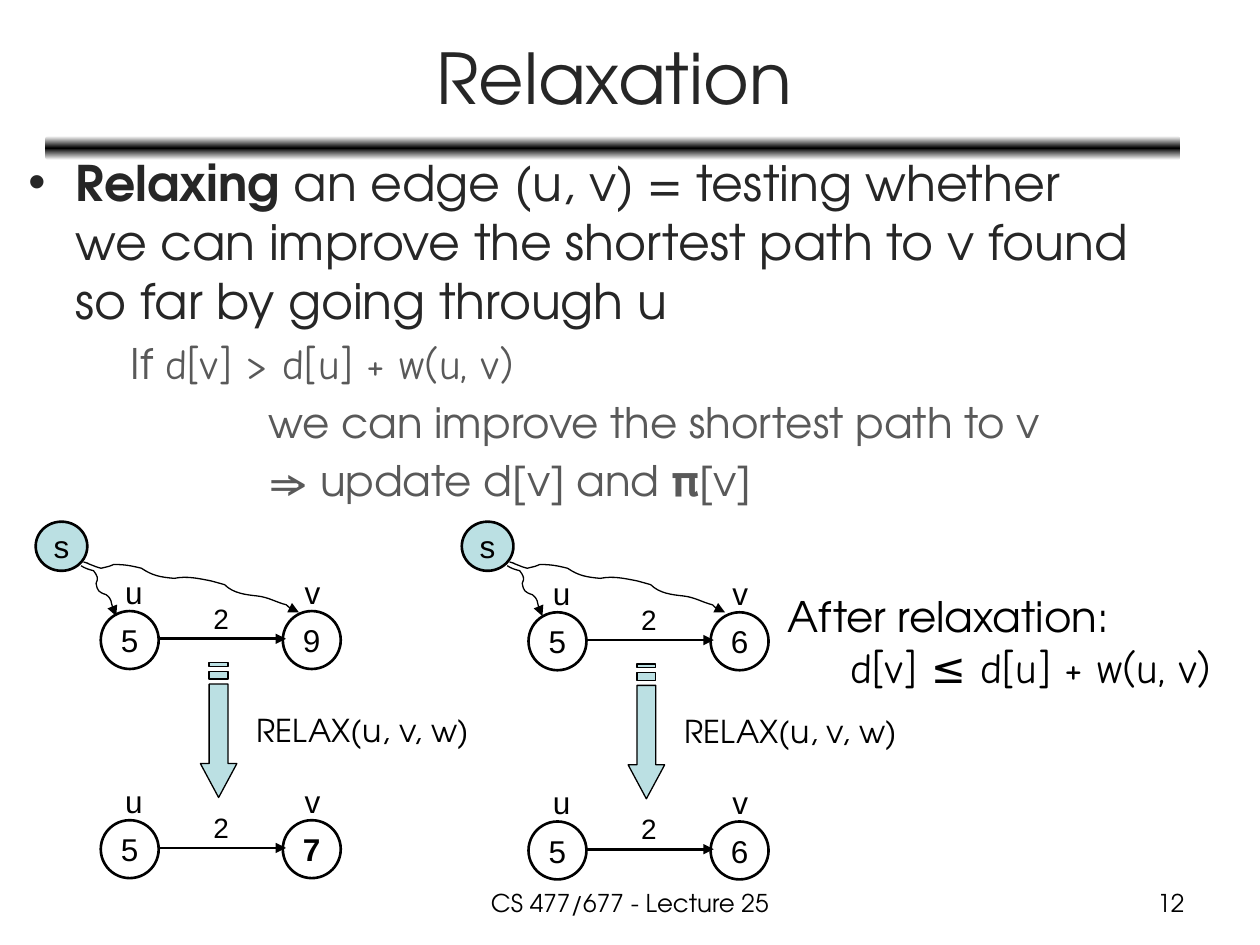
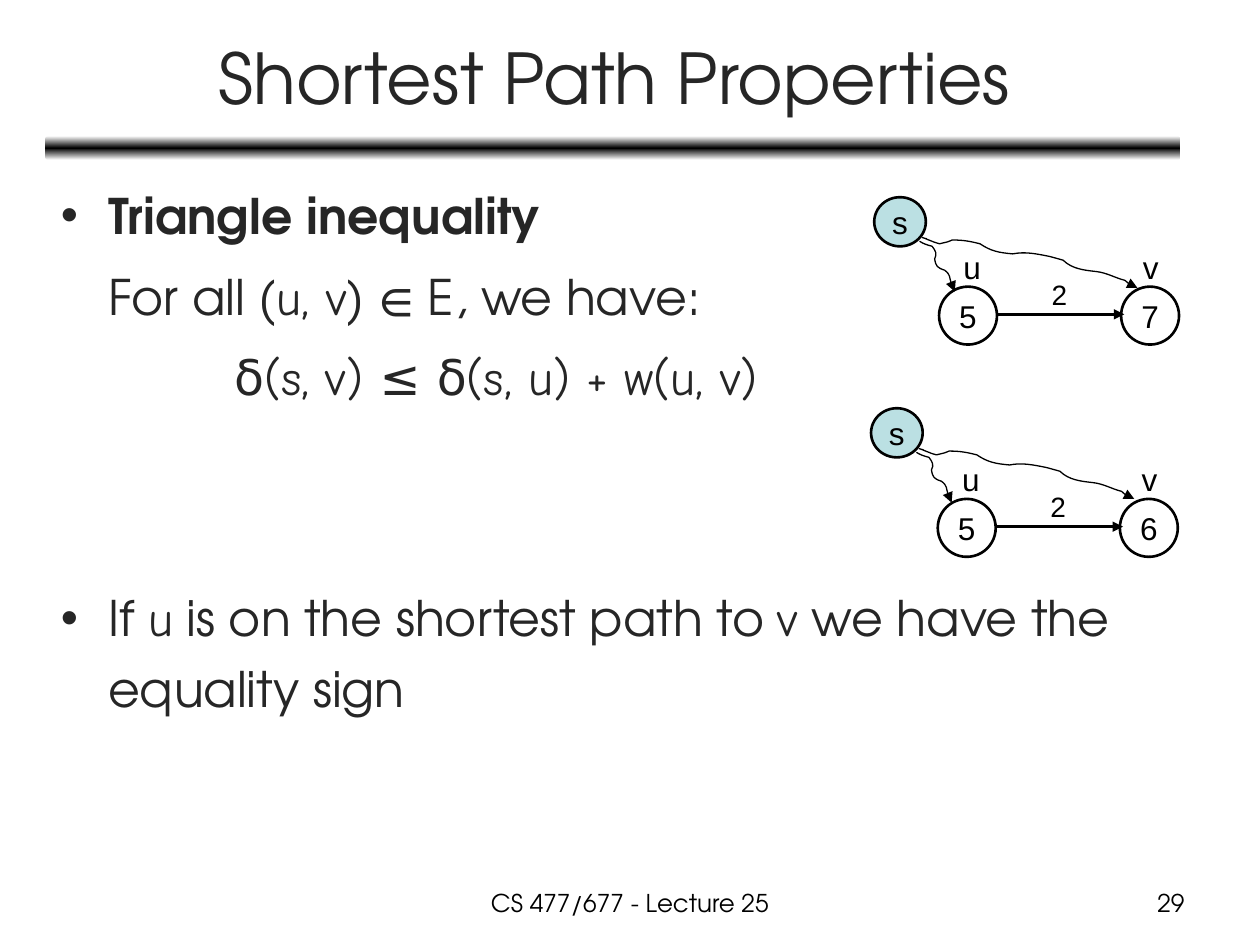
"""Build two lecture slides on edge relaxation and the triangle inequality."""
from copy import deepcopy
from dataclasses import dataclass

from lxml.etree import SubElement
from pptx import Presentation
from pptx.dml.color import RGBColor
from pptx.enum.shapes import MSO_CONNECTOR, MSO_SHAPE
from pptx.enum.text import MSO_ANCHOR, MSO_AUTO_SIZE, PP_ALIGN
from pptx.oxml.ns import qn
from pptx.util import Inches, Pt

W, H = Inches(10), Inches(7.5)
COLS, ROWS = 100, 75


@dataclass(frozen=True)
class Theme:
    """Colours, fonts and type sizes."""
    ink: str = "000000"
    paper: str = "FFFFFF"
    title_ink: str = "262626"
    soft_ink: str = "595959"
    accent: str = "BBE0E3"
    main: str = "TeX Gyre Adventor"
    math: str = "Comic Neue"
    label: str = "Arial"
    title: int = 40
    body: int = 28
    sub: int = 24
    node: int = 18
    weight: int = 16
    footer: int = 14


T = Theme()


@dataclass(frozen=True)
class Span:
    """A stretch of text in one format."""
    text: str
    font: str = T.main
    bold: bool = False


@dataclass(frozen=True)
class Para:
    """A body paragraph with its indent in columns."""
    spans: tuple[Span, ...]
    indent: float
    bullet: bool = False
    level: int = 0
    size: int = T.body
    color: str = T.title_ink
    before: float = 5.6
    spacing: float = 1.0


@dataclass(frozen=True)
class Graph:
    """An edge u to v, placed by node u, with an optional source node."""
    x: float
    y: float
    v: str
    source: tuple[float, float] | None = None
    bold: bool = False


@dataclass(frozen=True)
class Page:
    """Title, body and graphs of one slide."""
    title: str
    number: str
    body_at: tuple[float, float, float, float]
    paras: tuple[Para, ...]
    graphs: tuple[Graph, ...]


EDGE_LABELS = (("2", 7.95, -1.25, 3.2, 3.7, T.weight),
               ("u", 0.95, -3.55, 3.4, 4, T.node),
               ("v", 15.2, -3.55, 3.3, 4, T.node))
PATH_TO_U = ((3.6, 3.5), (3.9, 3.7), (4.2, 3.8), (4.6, 3.9), (4.9, 4.3), (5, 4.5), (4.8, 4.9),
             (4.9, 5.5), (5, 5.6), (5.6, 5.8), (6.1, 6.2), (5.9, 6.4), (6.2, 7),
             (6.3, 7.4), (6.3, 7.2), (6.4, 7.5))
PATH_TO_V = ((3.8, 3.2), (4.8, 3.5), (3.3, 3), (4.6, 3.5), (4.8, 3.6), (5.2, 3.7), (5.2, 3.7),
             (6, 3.5), (5.7, 3.6), (6.2, 3.4), (7.1, 3.4), (7.6, 3.5), (8.4, 3.7),
             (9.3, 4.3), (9.9, 4.4), (11, 4.5), (12, 4.3), (12.9, 4.5), (13.9, 4.7),
             (14.3, 4.8), (15, 5), (15, 5), (15.7, 5.7), (16.7, 5.8), (17.6, 5.9),
             (18.5, 6), (19.1, 6.4), (19.9, 6.6), (20.1, 6.8), (20.4, 7), (20.6, 7.1),
             (20.7, 7.1), (20.9, 7.2), (20.9, 7.2))
ARROW_PARTS = (((2.2, 8), (2.2, 1.7), (0.7, 1.7), (0.7, 8), (0, 8), (1.45, 10.7), (2.9, 8)),
               ((2.2, 0.7), (0.7, 0.7), (0.7, 1.3), (2.2, 1.3)),
               ((2.2, 0), (0.7, 0), (0.7, 0.3), (2.2, 0.3)))


def col(n: float) -> int:
    """Return the length of n grid columns."""
    return round(W * n / COLS)


def row(n: float) -> int:
    """Return the length of n grid rows."""
    return round(H * n / ROWS)


def box(x: float, y: float, w: float, h: float) -> tuple[int, int, int, int]:
    """Turn grid units into a left, top, width and height."""
    return col(x), row(y), col(w), row(h)


def write(p, text: str, *, size: int, font: str = T.main, color: str = T.ink,
          bold: bool = False) -> None:
    """Add a formatted run to a paragraph."""
    r = p.add_run()
    r.text = text
    r.font.size, r.font.name, r.font.bold = Pt(size), font, bold
    r.font.color.rgb = RGBColor.from_string(color)


def label(shapes, at: tuple[float, float, float, float], text: str, *, wrap: bool = False,
          align: PP_ALIGN = PP_ALIGN.LEFT, **fmt):
    """Add a one-paragraph text box and return its frame."""
    tf = shapes.add_textbox(*box(*at)).text_frame
    tf.word_wrap = wrap
    tf.auto_size = MSO_AUTO_SIZE.NONE if wrap else MSO_AUTO_SIZE.SHAPE_TO_FIT_TEXT
    p = tf.paragraphs[0]
    p.alignment = align
    write(p, text, **fmt)
    return tf


def outline(sp, width: float, fill: str | None = None) -> None:
    """Give a shape a black line, no shadow and an optional fill."""
    sp.shadow.inherit = False
    sp.line.color.rgb = RGBColor.from_string(T.ink)
    sp.line.width = Pt(width)
    if fill:
        sp.fill.solid()
        sp.fill.fore_color.rgb = RGBColor.from_string(fill)
    else:
        sp.fill.background()


def arrowhead(sp) -> None:
    """Put a triangle at the end of a line."""
    SubElement(sp.line._get_or_add_ln(), qn("a:tailEnd"), type="triangle")


def node(shapes, at: tuple[float, float, float, float], text: str, *, fill: str | None = None,
         bold: bool = False) -> None:
    """Draw a circle with a centred label."""
    sp = shapes.add_shape(MSO_SHAPE.OVAL, *box(*at))
    outline(sp, 1.5, fill)
    tf = sp.text_frame
    tf.word_wrap, tf.vertical_anchor = False, MSO_ANCHOR.MIDDLE
    p = tf.paragraphs[0]
    p.alignment = PP_ALIGN.CENTER
    write(p, text, size=T.node, font=T.label, bold=bold)


def freeform(shapes, x: float, y: float, parts, close: bool):
    """Draw outlines whose points are offsets from x, y."""
    moved = [[(col(x + a), row(y + b)) for a, b in part] for part in parts]
    fb = shapes.build_freeform(*moved[0][0])
    for i, part in enumerate(moved):
        if i:
            fb.move_to(*part[0])
        fb.add_line_segments(part[1:], close=close)
    return fb.convert_to_shape()


def curve(shapes, x: float, y: float, pts) -> None:
    """Draw a chain of cubic curves that ends in an arrowhead."""
    sp = freeform(shapes, x, y, [pts], False)
    lines = list(sp.element.iter(qn("a:lnTo")))
    for i in range(0, len(lines), 3):
        cubic = SubElement(lines[i].getparent(), qn("a:cubicBezTo"))
        for line in lines[i:i + 3]:
            cubic.append(line[0])
            line.getparent().remove(line)
    outline(sp, 0.75)
    arrowhead(sp)


def draw_graph(s, g: Graph) -> None:
    """Draw nodes u and v, their edge and the paths from the source."""
    shapes = s.shapes.add_group_shape().shapes
    node(shapes, (g.x, g.y, 4.6, 4.6), "5")
    node(shapes, (g.x + 14.45, g.y, 4.6, 4.6), g.v, bold=g.bold)
    edge = shapes.add_connector(MSO_CONNECTOR.STRAIGHT, col(g.x + 4.6), row(g.y + 2.2),
                                col(g.x + 14.7), row(g.y + 2.2))
    edge.line.color.rgb = RGBColor.from_string(T.ink)
    edge.line.width = Pt(1.5)
    arrowhead(edge)
    SubElement(edge.element.spPr, qn("a:effectLst"))
    for text, dx, dy, w, h, size in EDGE_LABELS:
        label(shapes, (g.x + dx, g.y + dy, w, h), text, size=size, font=T.label)
    if g.source:
        x, y = g.source
        shapes = s.shapes.add_group_shape().shapes
        node(shapes, (x, y, 4.1, 3.9), "s", fill=T.accent)
        for pts in (PATH_TO_U, PATH_TO_V):
            curve(shapes, x, y, pts)


def draw_relax_step(s, g: Graph) -> None:
    """Draw the striped arrow and call below a graph."""
    outline(freeform(s.shapes, g.x + 7.9, g.y + 4.1, ARROW_PARTS, True), 0.75, T.accent)
    label(s.shapes, (g.x + 11.4, g.y + 7.4, 19.1, 4), "RELAX(u, v, w)", size=T.node)


def add_band(s) -> None:
    """Draw the gradient rule and move it to the shared layout."""
    sp = s.shapes.add_shape(MSO_SHAPE.ROUNDED_RECTANGLE, *box(3.6, 10.8, 90.1, 1.9))
    sp.shadow.inherit = False
    sp.line.fill.background()
    sp.fill.gradient()
    sp.fill.gradient_angle = 90
    stops = sp.element.spPr.find(f".//{qn('a:gsLst')}")
    stops.append(deepcopy(stops[0]))
    for stop, pos, color in zip(sp.fill.gradient_stops, (0, 0.5, 1), (T.paper, T.ink, T.paper)):
        stop.position = pos
        stop.color.rgb = RGBColor.from_string(color)
    s.slide_layout.element.cSld.spTree.insert(2, sp.element)


def place(sp, at: tuple[float, float, float, float]):
    """Move a placeholder and return its wrapped, fixed-size frame."""
    sp.left, sp.top, sp.width, sp.height = box(*at)
    tf = sp.text_frame
    tf.word_wrap, tf.auto_size = True, MSO_AUTO_SIZE.NONE
    return tf


def fill_body(tf, paras: tuple[Para, ...]) -> None:
    """Write the body paragraphs."""
    for i, para in enumerate(paras):
        p = tf.add_paragraph() if i else tf.paragraphs[0]
        p.level = para.level
        pPr = p._p.get_or_add_pPr()
        pPr.set("marL", str(col(para.indent)))
        pPr.set("indent", str(-col(para.indent) if para.bullet else 0))
        if not para.bullet:
            SubElement(pPr, qn("a:buNone"))
        p.line_spacing = para.spacing
        p.space_before = Pt(para.before if i else 0)
        for span in para.spans:
            write(p, span.text, size=para.size, font=span.font, color=para.color, bold=span.bold)


def add_page(prs, page: Page):
    """Add a slide with title, body, footer and graphs."""
    s = prs.slides.add_slide(prs.slide_layouts[1])
    tf = place(s.shapes.title, (3.75, 1.1, 90, 9.9))
    tf.vertical_anchor = MSO_ANCHOR.MIDDLE
    tf.paragraphs[0].alignment = PP_ALIGN.CENTER
    write(tf.paragraphs[0], page.title, size=T.title, color=T.title_ink)
    fill_body(place(s.placeholders[1], page.body_at), page.paras)
    for g in page.graphs:
        draw_graph(s, g)
    label(s.shapes, (34.15, 70, 31.7, 3.5), "CS 477/677 - Lecture 25", wrap=True,
          align=PP_ALIGN.CENTER, size=T.footer)
    label(s.shapes, (71.7, 70, 23.3, 3.5), page.number, wrap=True, align=PP_ALIGN.RIGHT,
          size=T.footer)
    return s


def sub(indent: float, *spans: Span) -> Para:
    """Return a grey second-level paragraph."""
    return Para(spans, indent, level=1, size=T.sub, color=T.soft_ink, before=4.8)


def item(*spans: Span, indent: float = 3.75, bullet: bool = False, before: float = 5.6) -> Para:
    """Return a widely spaced first-level paragraph."""
    return Para(spans, indent, bullet, before=before, spacing=1.2)


RELAXATION = Page(
    "Relaxation", "12", (1.25, 11.6, 90, 31.9),
    (Para((Span("Relaxing ", bold=True),
           Span("an edge (u, v) = testing whether we can improve the shortest path to v found "
                "so far by going through u")), 3.75, True),
     sub(8.13, Span("If "), Span("d[v] > d[u] + w(u, v)", T.math)),
     sub(19.05, Span("we can improve the shortest path to v")),
     sub(19.05, Span("⇒ update d[v] and 𝛑[v]"))),
    (Graph(8, 48.5, "9", (2.83, 41.4)), Graph(8, 65.1, "7", bold=True),
     Graph(41.95, 48.6, "6", (36.65, 41.4)), Graph(41.95, 65.2, "6")))

PROPERTIES = Page(
    "Shortest Path Properties", "29", (3.83, 13.3, 91.9, 55.5),
    (item(Span("Triangle inequality", bold=True), bullet=True),
     item(Span("For all ("), Span("u, v", T.math), Span(") ∈ E, we have:")),
     item(Span("δ(s, v) ≤ δ(s, u) + w(u, v)", T.math), indent=13.75),
     item(Span("If "), Span("u", T.math), Span(" is on the shortest path to "),
          Span("v", T.math), Span(" we have the equality sign"), bullet=True, before=97.5)),
    (Graph(74.53, 22.75, "7", (69.38, 15.65)), Graph(74.43, 39.6, "6", (69.13, 32.4))))


def main() -> None:
    """Build and save the presentation."""
    prs = Presentation()
    prs.slide_width, prs.slide_height = W, H
    s = add_page(prs, RELAXATION)
    add_band(s)
    for g in RELAXATION.graphs:
        if g.source:
            draw_relax_step(s, g)
    tf = label(s.shapes, (61.5, 46.4, 37.1, 9.1), "After relaxation:", wrap=True, size=T.sub)
    p = tf.add_paragraph()
    p._p.get_or_add_pPr().set("marL", str(col(5)))
    write(p, "d[v] ≤ d[u] + w(u, v)", size=T.sub, font=T.math)
    add_page(prs, PROPERTIES)
    prs.save("out.pptx")


if __name__ == "__main__":
    main()
